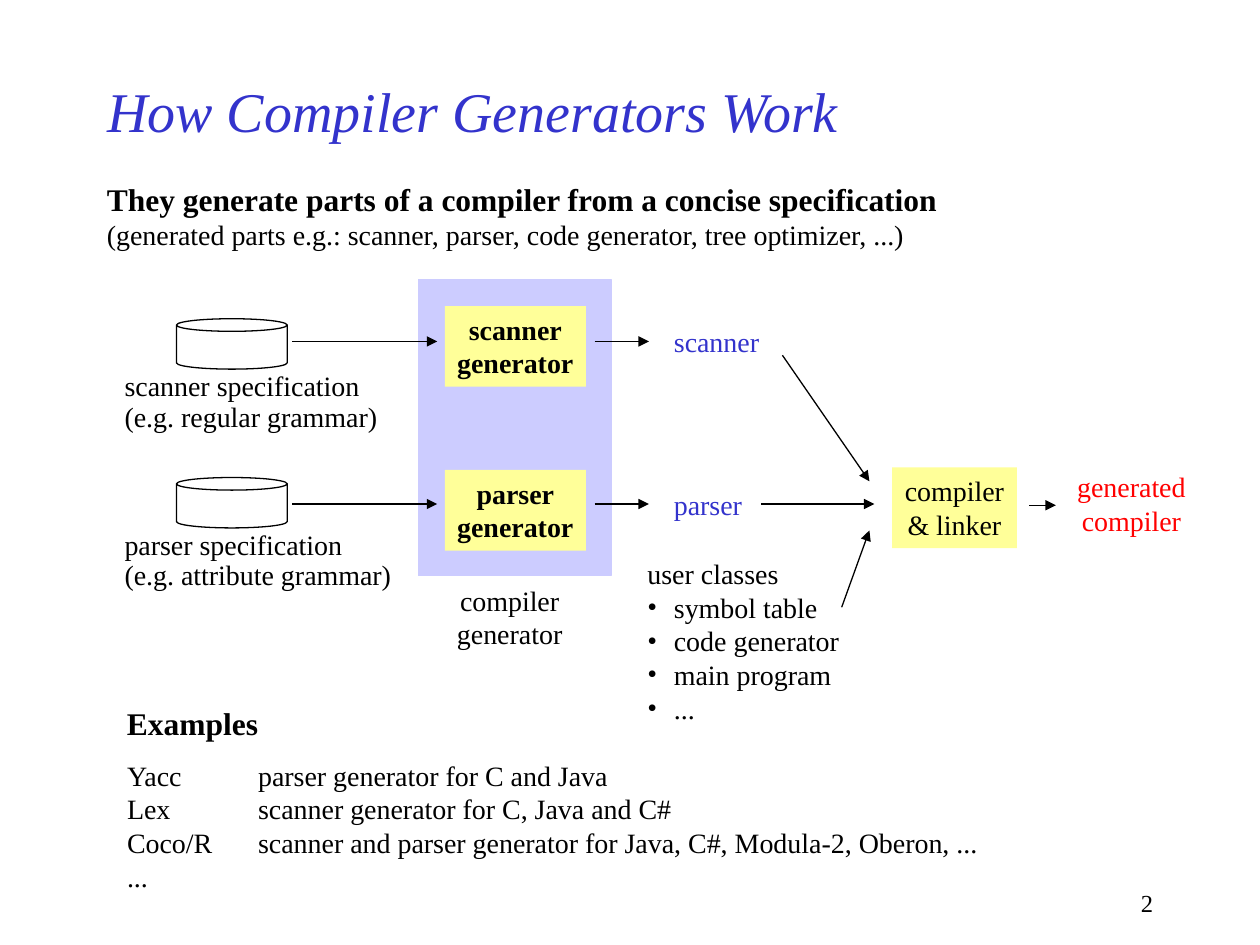
"""Build the slide that explains how compiler generators work."""
from dataclasses import dataclass

import lxml.etree
import pptx
import pptx.dml.color
import pptx.enum.shapes
import pptx.enum.text
import pptx.oxml.ns
import pptx.util

Inches = pptx.util.Inches
Pt = pptx.util.Pt
SHAPE = pptx.enum.shapes.MSO_SHAPE
ALIGN = pptx.enum.text.PP_ALIGN
ANCHOR = pptx.enum.text.MSO_ANCHOR
AUTO_SIZE = pptx.enum.text.MSO_AUTO_SIZE
FONT = "Times New Roman"
BLACK, BLUE, RED = "000000", "3333CC", "FF0000"
YELLOW, LAVENDER = "FFFF99", "CCCCFF"
LINE_WIDTH = Pt(0.74)


@dataclass
class Line:
    """One paragraph of a text block."""
    text: str
    size: float = 16
    bold: bool = False
    italic: bool = False
    bullet: bool = False


@dataclass
class Block:
    """A text block with its place and format."""
    box: tuple[float, float, float, float]
    lines: list[Line]
    color: str = BLACK
    align: ALIGN = ALIGN.LEFT
    fill: str | None = None
    spacing: float | None = None
    indent: float = 0
    tab: float | None = None
    wrap: bool = False


@dataclass
class Stage:
    """One row from specification through generator to generated part."""
    name: str
    grammar: str
    can_top: float
    generator_top: float
    arrow_y: float
    label_width: float
    part_width: float


def rgb(color: str) -> pptx.dml.color.RGBColor:
    """Turn a hex string into a colour."""
    return pptx.dml.color.RGBColor.from_string(color)


def add_element(parent, tag: str, **attributes: str):
    """Append a DrawingML element to a parent."""
    return lxml.etree.SubElement(parent, pptx.oxml.ns.qn(tag), attributes)


def add_run(paragraph, line: Line, color: str) -> None:
    """Append one formatted run."""
    run = paragraph.add_run()
    run.text = line.text
    run.font.name = FONT
    run.font.size = Pt(line.size)
    run.font.bold = line.bold
    run.font.italic = line.italic
    run.font.color.rgb = rgb(color)


def format_paragraph(paragraph, line: Line, block: Block) -> None:
    """Set alignment, spacing, indent, bullet and tab stop."""
    paragraph.alignment = block.align
    if block.spacing:
        paragraph.line_spacing = block.spacing
    properties = paragraph._p.get_or_add_pPr()
    if block.indent:
        properties.set("marL", str(Inches(block.indent)))
        properties.set("indent", str(-Inches(block.indent)))
    if line.bullet:
        add_element(add_element(properties, "a:buClr"), "a:srgbClr", val=BLACK)
        add_element(properties, "a:buFont", typeface=FONT)
        add_element(properties, "a:buChar", char="•")
    if block.tab:
        tabs = add_element(properties, "a:tabLst")
        add_element(tabs, "a:tab", pos=str(Inches(block.tab)), algn="l")


def add_shape(slide, kind: SHAPE, box: tuple[float, float, float, float],
              fill: str | None = None, outline: str | None = None):
    """Add a flat preset shape."""
    shape = slide.shapes.add_shape(kind, *map(Inches, box))
    shape.shadow.inherit = False
    if fill:
        shape.fill.solid()
        shape.fill.fore_color.rgb = rgb(fill)
    else:
        shape.fill.background()
    if outline:
        shape.line.color.rgb = rgb(outline)
        shape.line.width = LINE_WIDTH
    else:
        shape.line.fill.background()
    return shape


def add_block(slide, block: Block) -> None:
    """Add a text block, on a filled rectangle if it has a fill."""
    if block.fill:
        shape = add_shape(slide, SHAPE.RECTANGLE, block.box, block.fill)
    else:
        shape = slide.shapes.add_textbox(*map(Inches, block.box))
    frame = shape.text_frame
    frame.word_wrap = block.wrap
    frame.auto_size = AUTO_SIZE.NONE if block.wrap else AUTO_SIZE.SHAPE_TO_FIT_TEXT
    frame.vertical_anchor = ANCHOR.TOP
    for index, line in enumerate(block.lines):
        paragraph = frame.add_paragraph() if index else frame.paragraphs[0]
        format_paragraph(paragraph, line, block)
        add_run(paragraph, line, block.color)


def add_arrow(slide, start: tuple[float, float], end: tuple[float, float]) -> None:
    """Add a thin black arrow."""
    arrow = slide.shapes.add_connector(
        pptx.enum.shapes.MSO_CONNECTOR.STRAIGHT, *map(Inches, (*start, *end)))
    arrow.line.color.rgb = rgb(BLACK)
    arrow.line.width = LINE_WIDTH
    add_element(arrow.line._get_or_add_ln(), "a:tailEnd", type="triangle")
    add_element(arrow._element.spPr, "a:effectLst")


def add_title(slide, text: str) -> None:
    """Place and format the title placeholder."""
    title = slide.shapes.title
    title.left, title.top, title.width, title.height = map(Inches, (0.75, 0.5, 7.5, 0.75))
    title.text_frame.vertical_anchor = ANCHOR.MIDDLE
    paragraph = title.text_frame.paragraphs[0]
    paragraph.alignment = ALIGN.LEFT
    add_run(paragraph, Line(text, 32, italic=True), BLUE)


def add_stage(slide, stage: Stage) -> None:
    """Draw one generator row."""
    add_shape(slide, SHAPE.CAN, (1.4, stage.can_top, 0.88, 0.4), outline=BLACK)
    add_block(slide, Block((0.89, stage.can_top + 0.38, stage.label_width, 0.58),
                           [Line(f"{stage.name} specification"),
                            Line(f"(e.g. {stage.grammar} grammar)")], spacing=0.9))
    add_block(slide, Block((3.53, stage.generator_top, 1.12, 0.64),
                           [Line(stage.name, bold=True), Line("generator", bold=True)],
                           align=ALIGN.CENTER, fill=YELLOW))
    for start, end in ((2.32, 3.47), (4.72, 5.15)):
        add_arrow(slide, (start, stage.arrow_y), (end, stage.arrow_y))
    add_block(slide, Block((5.25, stage.arrow_y - 0.18, stage.part_width, 0.37),
                           [Line(stage.name)], BLUE))


STAGES = [
    Stage("scanner", "regular", 2.53, 2.43, 2.71, 2.22, 0.89),
    Stage("parser", "attribute", 3.79, 3.73, 4, 2.33, 0.76),
]
BLOCKS = [
    Block((0.75, 1.38, 6.8, 0.67), [
        Line("They generate parts of a compiler from a concise specification", 18, bold=True),
        Line("(generated parts e.g.: scanner, parser, code generator, tree optimizer, ...)")]),
    Block((3.52, 4.58, 1.05, 0.64), [Line("compiler"), Line("generator")], align=ALIGN.CENTER),
    Block((5.04, 4.37, 1.72, 1.44), [Line("user classes")] + [
        Line(text, bullet=True)
        for text in ("symbol table", "code generator", "main program", "...")], indent=0.21),
    Block((7.08, 3.71, 0.99, 0.64), [Line("compiler"), Line("& linker")],
          align=ALIGN.CENTER, fill=YELLOW),
    Block((8.45, 3.68, 1.06, 0.64), [Line("generated"), Line("compiler")], RED, ALIGN.CENTER),
    Block((0.91, 5.54, 1.24, 0.4), [Line("Examples", 18, bold=True)]),
    Block((0.91, 5.97, 6.95, 1.17), [
        Line("Yacc\tparser generator for C and Java"),
        Line("Lex\tscanner generator for C, Java and C#"),
        Line("Coco/R\tscanner and parser generator for Java, C#, Modula-2, Oberon, ..."),
        Line("...")], tab=1.04),
    Block((7.17, 7, 2.08, 0.33), [Line("2", 14)], align=ALIGN.RIGHT, wrap=True),
]
LINKER_ARROWS = [
    ((6.21, 2.82), (6.9, 3.82)),
    ((6.04, 4), (6.94, 4)),
    ((6.68, 4.82), (6.9, 4.21)),
    ((8.17, 4.01), (8.38, 4.01)),
]

presentation = pptx.Presentation()
presentation.slide_width, presentation.slide_height = Inches(10), Inches(7.5)
slide = presentation.slides.add_slide(presentation.slide_layouts[5])
add_title(slide, "How Compiler Generators Work")
add_shape(slide, SHAPE.RECTANGLE, (3.32, 2.22, 1.53, 2.35), LAVENDER, LAVENDER)
for stage in STAGES:
    add_stage(slide, stage)
for block in BLOCKS:
    add_block(slide, block)
for start, end in LINKER_ARROWS:
    add_arrow(slide, start, end)
presentation.save("out.pptx")
